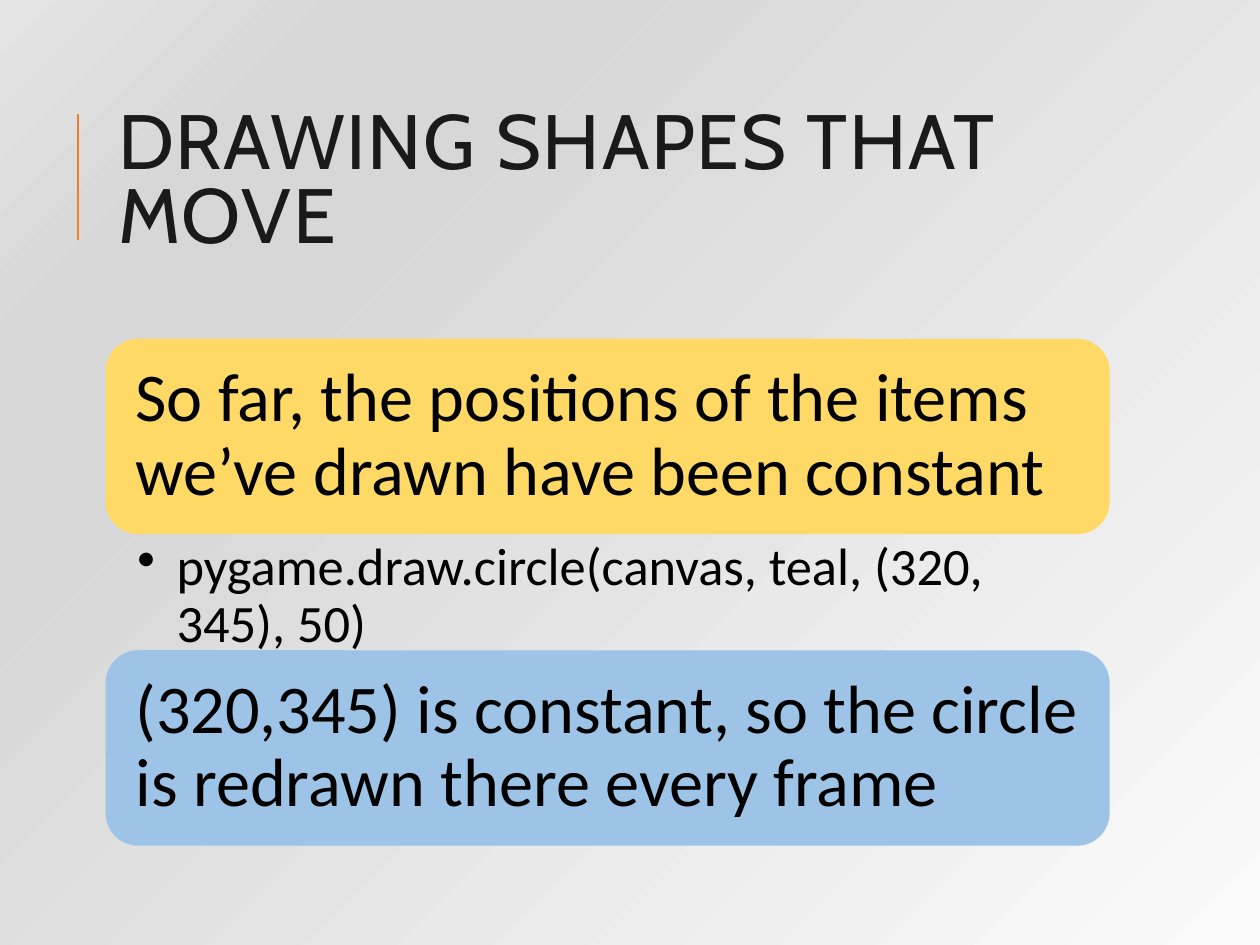
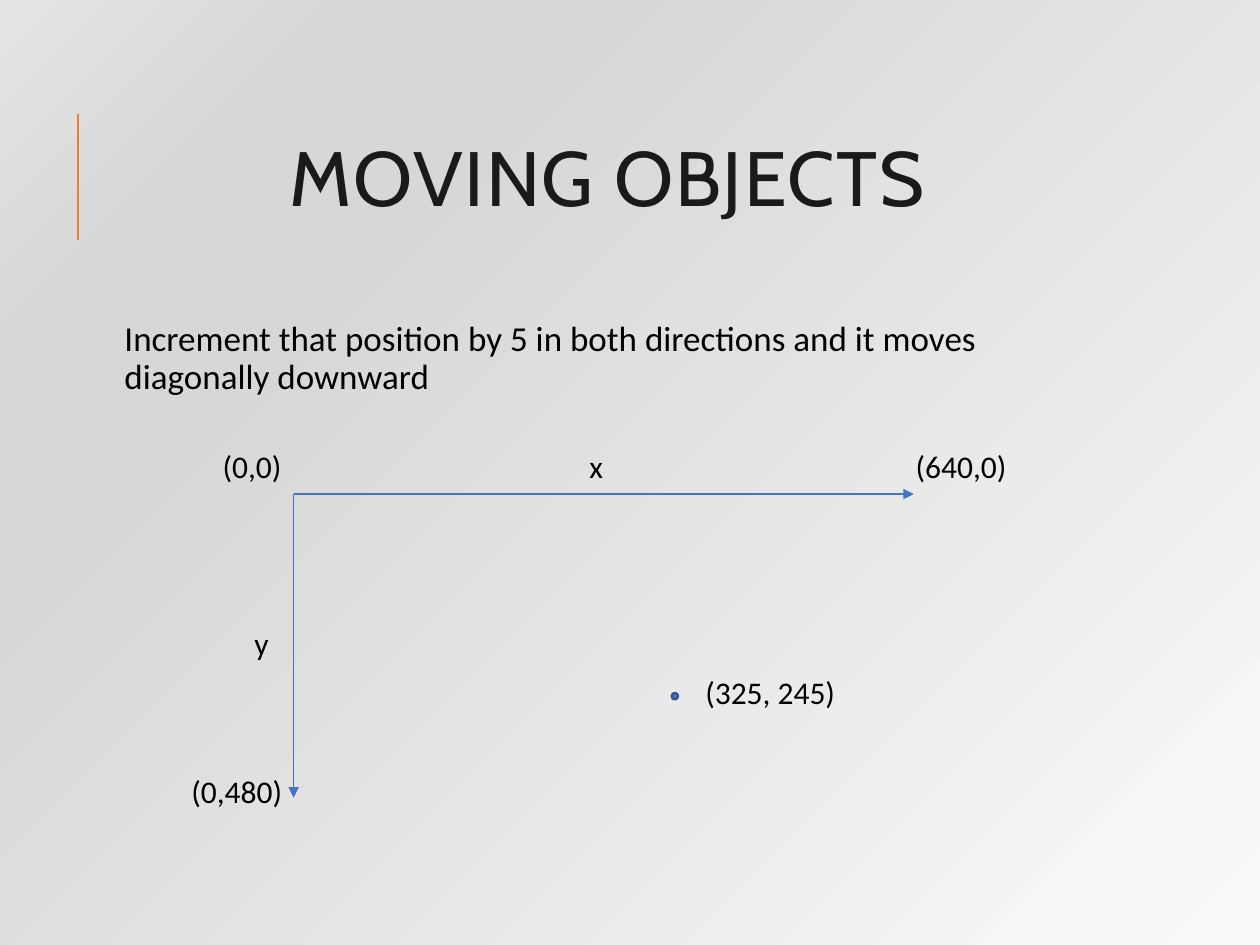
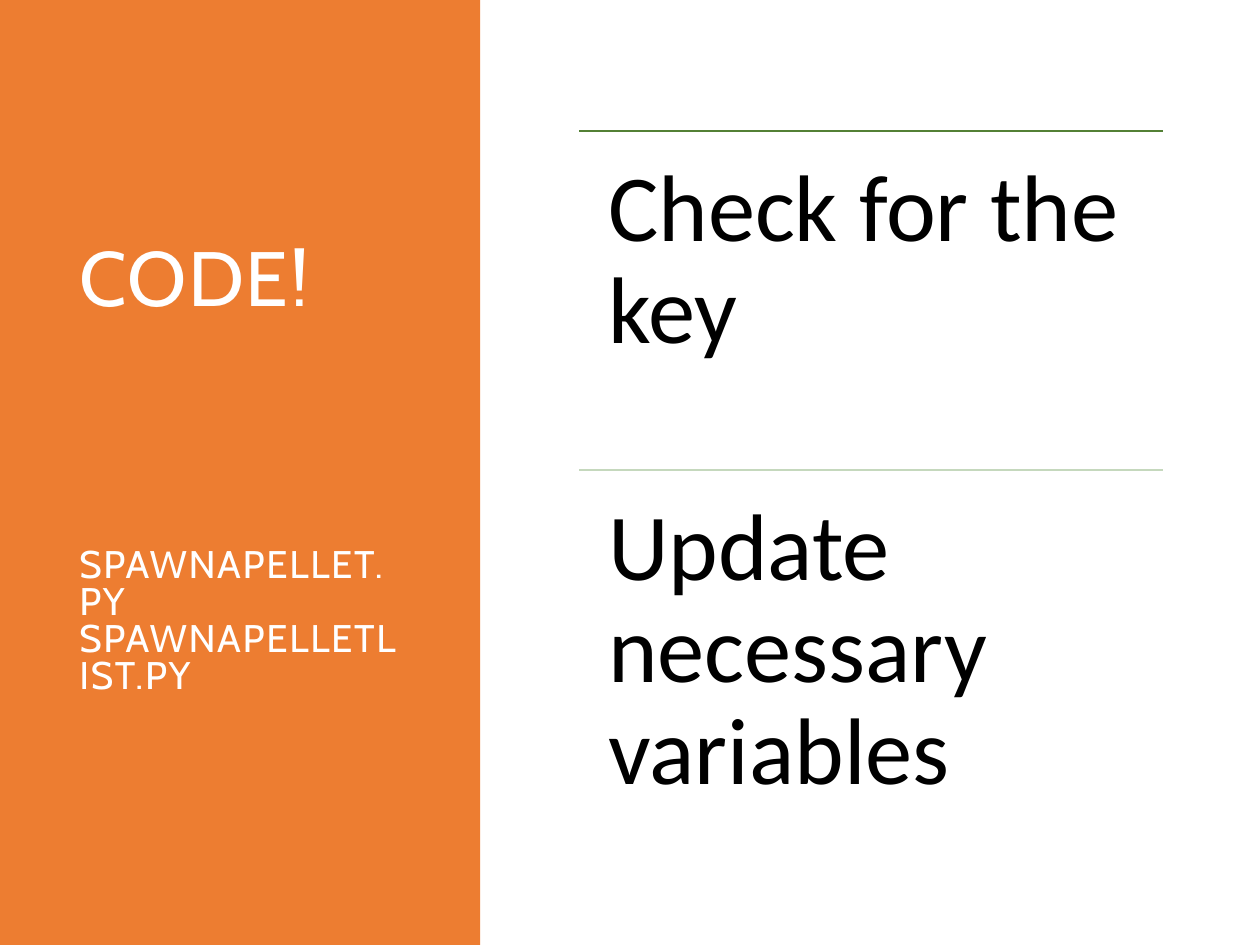
from dataclasses import dataclass
from typing import Optional

from lxml.etree import SubElement
from pptx import Presentation
from pptx.dml.color import RGBColor
from pptx.enum.shapes import MSO_CONNECTOR, MSO_SHAPE
from pptx.enum.text import MSO_ANCHOR, PP_ALIGN
from pptx.oxml.ns import qn
from pptx.util import Cm, Pt

COLORS = {
    "accent": "ED7D31", "title": "1A1A1A", "text": "000000", "white": "FFFFFF",
    "yellow": "FFD966", "sky": "9DC3E6", "blue": "4472C4", "navy": "325491",
    "green": "538035", "pale_green": "C5D8BD",
}
BACKDROP = [(0, "FAFAFA"), (74, "D7D7D7"), (83, "D7D7D7"), (100, "E4E4E4")]
HEAD_FONT, BODY_FONT = "Cabin", "Calibri"
LEFT, WIDTH = 2.13, 20.24  # content column, cm


@dataclass
class Box:
    x: float
    y: float
    w: float
    h: float

    def lengths(self) -> list:
        return [Cm(v) for v in (self.x, self.y, self.w, self.h)]


@dataclass
class Style:
    size: float
    color: str = "text"
    font: str = BODY_FONT
    spacing: Optional[float] = None  # line spacing
    tracking: int = 0  # hundredths of a point
    align: Optional[PP_ALIGN] = None


@dataclass
class Label:
    text: str
    box: Box


TITLE = Style(44, "title", HEAD_FONT, 0.8, 100)
TITLE_CENTERED = Style(44, "title", HEAD_FONT, 0.8, 100, PP_ALIGN.CENTER)
TITLE_WHITE = Style(44, "white", HEAD_FONT, 0.8, 100)
FILE_NAME = Style(22, "white", HEAD_FONT, 0.8, 100)
CARD = Style(39, spacing=0.9)
CODE = Style(30, spacing=0.9)
BODY = Style(20, spacing=0.9)
LABEL = Style(18)
STEP = Style(54, spacing=0.9)


def rgb(name: str) -> RGBColor:
    return RGBColor.from_string(COLORS[name])


def format_paragraph(p, style: Style) -> None:
    p.alignment = style.align
    if style.spacing:
        p.line_spacing = style.spacing
    for r in p.runs:
        r.font.size = Pt(style.size)
        r.font.name = style.font
        r.font.color.rgb = rgb(style.color)
        if style.tracking:
            r.font._element.set("spc", str(style.tracking))


def fill_text(sp, text: str, style: Style, anchor=MSO_ANCHOR.TOP, insets=(0.25, 0.13, 0.25, 0.13)):
    """Write text into a shape; insets are left, top, right, bottom in cm."""
    tf = sp.text_frame
    tf.word_wrap = True
    tf.vertical_anchor = anchor
    tf.margin_left, tf.margin_top, tf.margin_right, tf.margin_bottom = map(Cm, insets)
    tf.text = text
    for p in tf.paragraphs:
        format_paragraph(p, style)
    return tf


def add_text(s, box: Box, text: str, style: Style, **options):
    return fill_text(s.shapes.add_textbox(*box.lengths()), text, style, **options)


def add_shape(s, kind: MSO_SHAPE, box: Box, fill: str):
    sp = s.shapes.add_shape(kind, *box.lengths())
    sp.shadow.inherit = False
    sp.fill.solid()
    sp.fill.fore_color.rgb = rgb(fill)
    sp.line.fill.background()
    return sp


def add_line(s, start: tuple, end: tuple, color: str, width: float, arrow: bool = False) -> None:
    c = s.shapes.add_connector(MSO_CONNECTOR.STRAIGHT, *[Cm(v) for v in start + end])
    c.line.color.rgb = rgb(color)
    c.line.width = Pt(width)
    props = c.element.spPr
    if arrow:
        SubElement(props.find(qn("a:ln")), qn("a:tailEnd"), type="triangle")
    SubElement(props, qn("a:effectLst"))


def add_bullet(p, indent: float) -> None:
    p.level = 1
    props = p._p.get_or_add_pPr()
    props.set("marL", str(Cm(indent)))
    props.set("indent", str(-Cm(indent)))
    SubElement(props, qn("a:buChar"), char="•")


def add_titled_slide(prs, title: str, style: Style):
    """Slide with the grey gradient, accent bar and title."""
    s = prs.slides.add_slide(prs.slide_layouts[6])
    fill = s.background.fill
    fill.gradient()
    fill.gradient_angle = 135
    stops = s.element.find(".//" + qn("a:gsLst"))
    for stop in list(stops):
        stops.remove(stop)
    for position, color in BACKDROP:
        stop = SubElement(stops, qn("a:gs"), pos=str(position * 1000))
        SubElement(stop, qn("a:srgbClr"), val=color)
    add_line(s, (1.57, 4.83), (1.57, 2.29), "accent", 1.5)
    add_text(s, Box(LEFT, 1.63, WIDTH, 4.17), title, style, anchor=MSO_ANCHOR.MIDDLE)
    return s


def build_shapes_slide(prs) -> None:
    s = add_titled_slide(prs, "DRAWING SHAPES THAT MOVE", TITLE)
    cards = [
        ("So far, the positions of the items we’ve drawn have been constant", 6.83, "yellow"),
        ("(320,345) is constant, so the circle is redrawn there every frame", 13.11, "sky"),
    ]
    for text, y, color in cards:
        sp = add_shape(s, MSO_SHAPE.ROUNDED_RECTANGLE, Box(LEFT, y, WIDTH, 3.94), color)
        tf = fill_text(sp, text, CARD, MSO_ANCHOR.MIDDLE, (0.41,) * 4)
        tf.paragraphs[0].alignment = PP_ALIGN.LEFT
    # Code example between the cards
    tf = add_text(s, Box(LEFT, 10.77, WIDTH, 2.36),
                  "pygame.draw.circle(canvas, teal, (320, 345), 50)", CODE,
                  insets=(0.64, 0.13, 0.76, 0.13))
    add_bullet(tf.paragraphs[0], 0.79)


def build_axes_slide(prs) -> None:
    s = add_titled_slide(prs, "MOVING OBJECTS", TITLE_CENTERED)
    add_text(s, Box(LEFT, 6.35, WIDTH, 11.18),
             "Increment that position by 5 in both directions and it moves diagonally downward",
             BODY, insets=(0.38, 0.13, 0.13, 0.13))
    # Axes
    origin = (5.92, 9.96)
    for end in ((18.42, origin[1]), (origin[0], 16.08)):
        add_line(s, origin, end, "blue", 0.75, arrow=True)
    # Axis and point labels
    top = 8.89
    labels = [
        Label("x", Box(11.63, top, 1.27, 1.02)),
        Label("y", Box(4.88, 12.45, 1.07, 1.02)),
        Label("(0,0)", Box(4.24, top, 1.91, 1.02)),
        Label("(640,0)", Box(18.21, top, 2.97, 1.02)),
        Label("(0,480)", Box(3.61, 15.44, 2.54, 1.02)),
        Label("(325, 245)", Box(13.97, 13.44, 3.18, 1.8)),
    ]
    for label in labels:
        add_text(s, label.box, label.text, LABEL)
    # Moving point
    dot = add_shape(s, MSO_SHAPE.OVAL, Box(13.54, 13.97, 0.13, 0.13), "blue")
    dot.line.color.rgb = rgb("navy")
    dot.line.width = Pt(1.25)


def build_code_slide(prs) -> None:
    s = prs.slides.add_slide(prs.slide_layouts[6])
    s.background.fill.solid()
    s.background.fill.fore_color.rgb = rgb("white")
    # Side panel with title and file names
    add_shape(s, MSO_SHAPE.RECTANGLE, Box(0, 0, 9.68, 19.05), "accent")
    tf = add_text(s, Box(1.35, 1.78, 7.11, 15.47),
                  "CODE!\nSPAWNAPELLET.PY\nSPAWNAPELLETLIST.PY", FILE_NAME,
                  anchor=MSO_ANCHOR.MIDDLE)
    heading = tf.paragraphs[0]
    format_paragraph(heading, TITLE_WHITE)
    heading.space_after = Pt(130)
    # Steps, each under a rule
    x, top, w, pitch = 11.68, 2.64, 11.76, 6.83
    steps = [("Check for the key", "green"), ("Update necessary variables", "pale_green")]
    for i, (text, color) in enumerate(steps):
        y = top + i * pitch
        add_line(s, (x, y), (x + w, y), color, 1.25)
        add_text(s, Box(x, y, w, pitch), text, STEP, insets=(0.58,) * 4)


prs = Presentation()
prs.slide_width, prs.slide_height = Cm(25.4), Cm(19.05)
build_shapes_slide(prs)
build_axes_slide(prs)
build_code_slide(prs)
prs.save("out.pptx")
